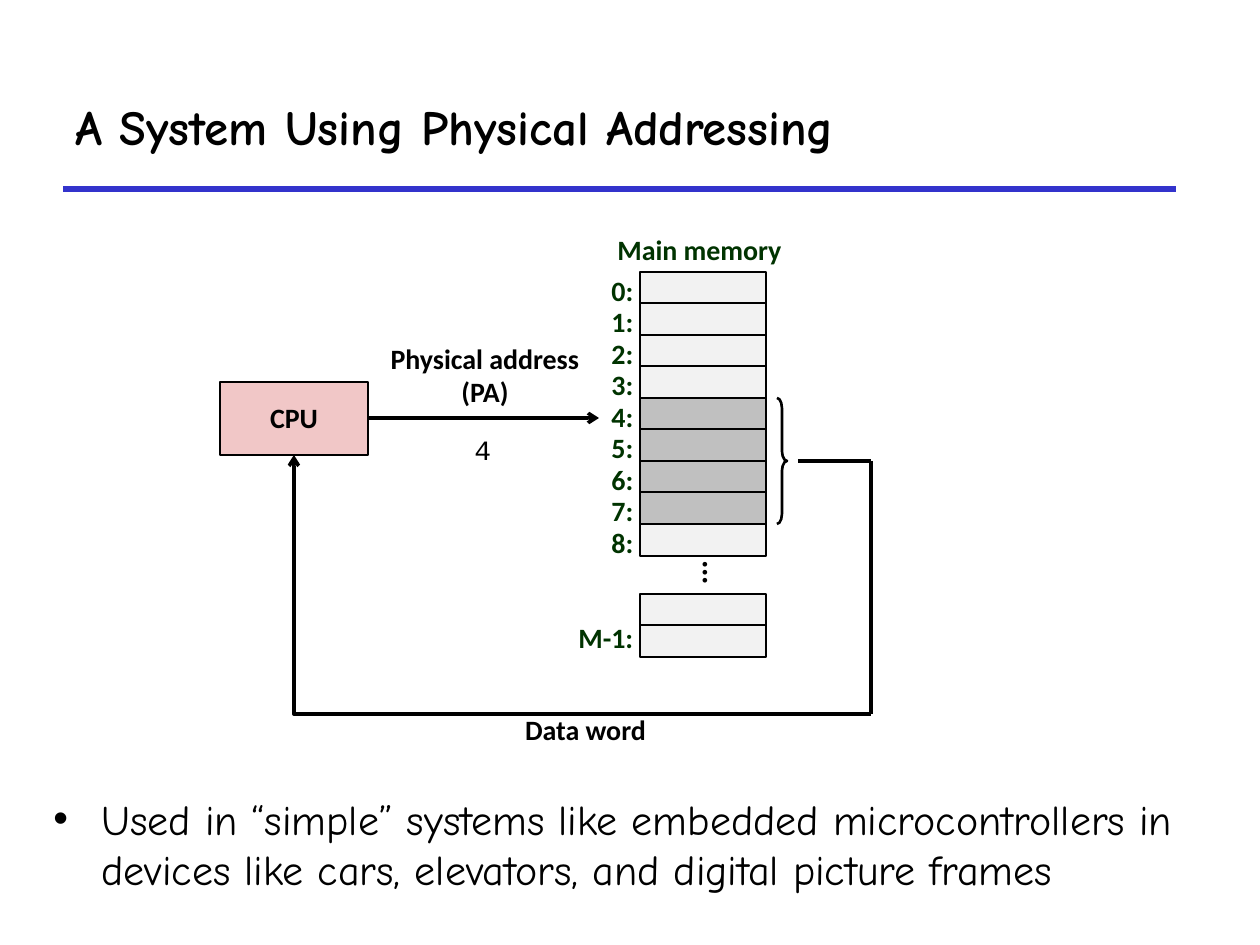
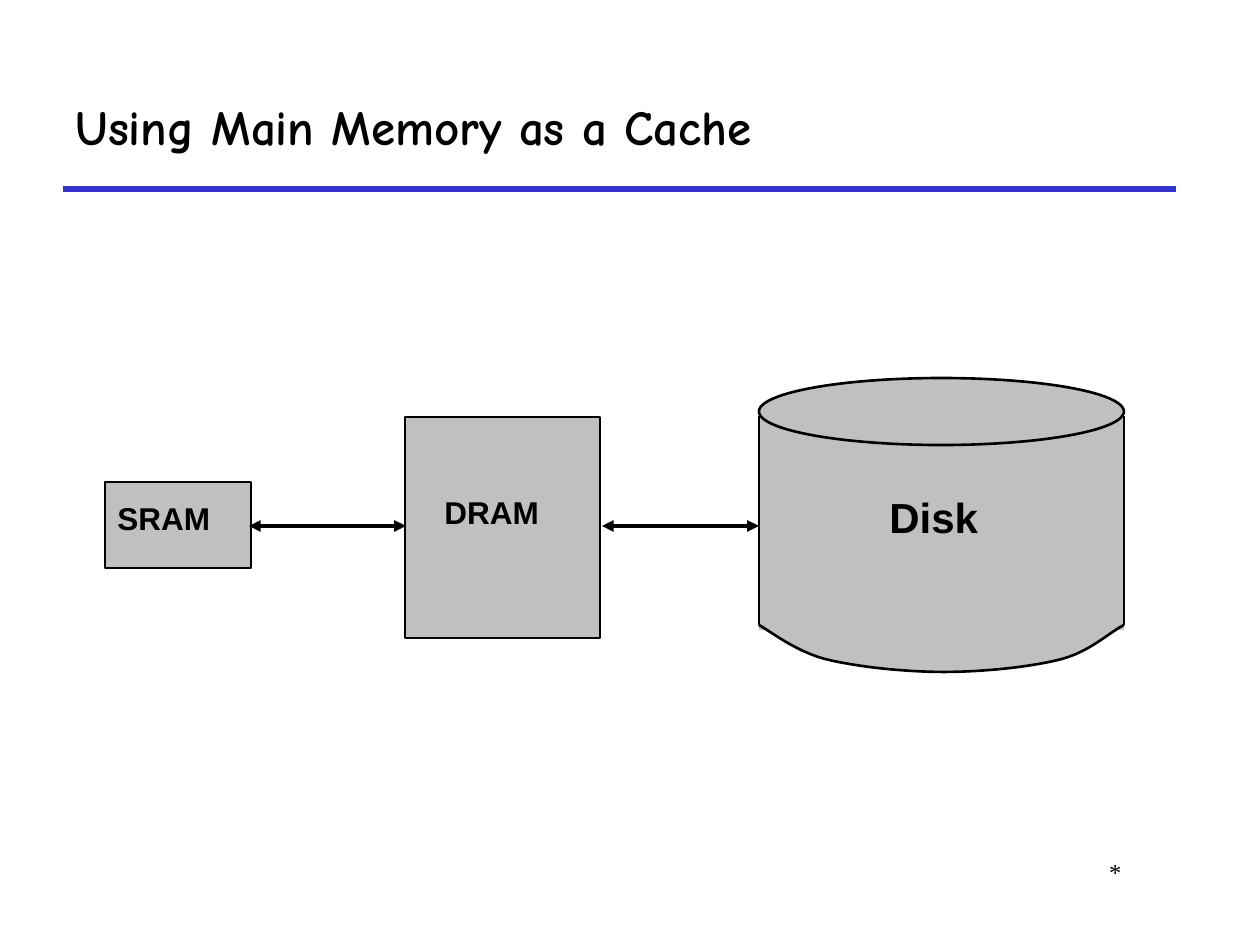
from itertools import pairwise

from lxml import etree
from pptx import Presentation
from pptx.dml.color import RGBColor
from pptx.enum.shapes import MSO_CONNECTOR, MSO_SHAPE
from pptx.enum.text import MSO_ANCHOR, MSO_AUTO_SIZE, PP_ALIGN
from pptx.oxml.ns import qn
from pptx.util import Pt

PX = 914400 / 126
RECT, OVAL, BRACE = MSO_SHAPE.RECTANGLE, MSO_SHAPE.OVAL, MSO_SHAPE.RIGHT_BRACE
STRAIGHT, ELBOW = MSO_CONNECTOR.STRAIGHT, MSO_CONNECTOR.ELBOW
LEFT, CENTER, RIGHT = PP_ALIGN.LEFT, PP_ALIGN.CENTER, PP_ALIGN.RIGHT
TOP, MIDDLE = MSO_ANCHOR.TOP, MSO_ANCHOR.MIDDLE
GROW, FIXED = MSO_AUTO_SIZE.SHAPE_TO_FIT_TEXT, MSO_AUTO_SIZE.NONE

BLACK, WHITE, BLUE, GREEN = "000000", "FFFFFF", "3333CC", "003300"
PINK, PALE, GRAY = "F1C7C7", "F2F2F2", "C0C0C0"
TITLE_FONT, LABEL_FONT, BLOCK_FONT = "Comic Neue", "Calibri", "Arial"

ADDRESSING_TITLE = "A System Using Physical Addressing"
ADDRESSING_NOTE = (
    "Used in “simple” systems like embedded microcontrollers in devices "
    "like cars, elevators, and digital picture frames"
)
CACHE_TITLE = "Using Main Memory as a Cache"

CELL_LEFT, CELL_TOP, CELL_WIDTH, CELL_HEIGHT = 640, 272, 126, 32
CELL_COUNT = 9
WORD_CELLS = range(4, 8)
LAST_CELL_TOPS = (594, 625)
DATA_PATH = [(798, 461), (871, 461), (871, 714)]
CPU_ENTRY = (294, 455)

MEMORY_BLOCKS = [
    ("SRAM", (105, 482, 146, 86), (105, 497, 130, 47)),
    ("DRAM", (405, 417, 195, 221), (432, 491, 147, 47)),
]
TRANSFERS = [(249, 406), (602, 759)]
TRANSFER_Y = 526
DISK_LEFT, DISK_RIGHT, DISK_BOTTOM = 759, 1124, 625
DISK_CURVES = [
    [(759, 625), (770, 631), (795, 651), (825, 659)],
    [(825, 659), (857, 667), (905, 672), (944, 672)],
    [(944, 672), (983, 672), (1032, 667), (1062, 659)],
    [(1062, 659), (1091, 651), (1110, 632), (1124, 625)],
]


def emu(pixels):
    return round(pixels * PX)


def color(value):
    return RGBColor.from_string(value)


def style(shape, fill=None, line=None, weight=1.5):
    shape.shadow.inherit = False
    if fill:
        shape.fill.solid()
        shape.fill.fore_color.rgb = color(fill)
    else:
        shape.fill.background()
    if line:
        shape.line.color.rgb = color(line)
        shape.line.width = Pt(weight)
    else:
        shape.line.fill.background()
    return shape


def add_block(page, kind, area, fill=None, line=BLACK, weight=1.5):
    shape = page.shapes.add_shape(kind, *map(emu, area))
    return style(shape, fill, line, weight)


def write(box, text, font=LABEL_FONT, size=16, bold=True, ink=BLACK,
          align=LEFT, anchor=TOP, wrap=False, grow=False, spacing=None, before=0):
    frame = box.text_frame
    frame.word_wrap = wrap
    frame.auto_size = GROW if grow else FIXED
    frame.vertical_anchor = anchor
    for index, content in enumerate(text.split("\n")):
        para = frame.add_paragraph() if index else frame.paragraphs[0]
        para.alignment = align
        para.space_before = Pt(before)
        para.line_spacing = spacing
        span = para.add_run()
        span.text = content
        span.font.name = font
        span.font.size = Pt(size)
        span.font.bold = bold
        span.font.color.rgb = color(ink)
    return box


def add_text(page, text, area, **options):
    box = page.shapes.add_textbox(*map(emu, area))
    return write(box, text, **options)


def add_line(page, start, end, kind=STRAIGHT, weight=2, ink=BLACK, head=None, tail=None):
    line = page.shapes.add_connector(kind, *map(emu, (*start, *end)))
    line.line.color.rgb = color(ink)
    line.line.width = Pt(weight)
    outline = line.line._get_or_add_ln()
    for tag, arrow in (("a:headEnd", head), ("a:tailEnd", tail)):
        if arrow:
            etree.SubElement(outline, qn(tag), type=arrow)
    etree.SubElement(line._element.spPr, qn("a:effectLst"))
    return line


def turn_at_end(elbow):
    guides = elbow._element.spPr.prstGeom.get_or_add_avLst()
    etree.SubElement(guides, qn("a:gd"), name="adj1", fmla="val 100000")


def add_bullet(box, indent):
    properties = box.text_frame.paragraphs[0]._p.get_or_add_pPr()
    properties.set("marL", str(emu(indent)))
    properties.set("indent", str(-emu(indent)))
    etree.SubElement(properties, qn("a:buFont"), typeface=BLOCK_FONT)
    etree.SubElement(properties, qn("a:buChar"), char="•")


def curve_points(curve, steps=12):
    for step in range(1, steps + 1):
        t = step / steps
        weights = ((1 - t) ** 3, 3 * t * (1 - t) ** 2, 3 * t * t * (1 - t), t ** 3)
        yield tuple(sum(w * point[axis] for w, point in zip(weights, curve)) for axis in (0, 1))


def new_page(deck, title):
    page = deck.slides.add_slide(deck.slide_layouts[6])
    add_line(page, (63, 189), (1176, 189), weight=3, ink=BLUE)
    add_text(page, title, (63, 63, 1113, 126), font=TITLE_FONT, size=28,
             anchor=MIDDLE, wrap=True)
    return page


def add_memory(page):
    label = dict(ink=GREEN, spacing=0.88, before=6, grow=True)
    add_text(page, "Main memory", (605, 231, 189, 42), align=CENTER, **label)
    for number in range(CELL_COUNT):
        top = CELL_TOP + number * 63 // 2
        fill = GRAY if number in WORD_CELLS else PALE
        add_block(page, RECT, (CELL_LEFT, top, CELL_WIDTH, CELL_HEIGHT), fill)
        add_text(page, f"{number}:", (599, top, 47, 42), **label)
    for top in LAST_CELL_TOPS:
        add_block(page, RECT, (CELL_LEFT, top, CELL_WIDTH, CELL_HEIGHT), PALE)
    add_text(page, "M-1:", (566, 619, 90, 42), wrap=True, **label)

    dots = add_text(page, "...", (651, 547, 126, 32), size=18, align=CENTER,
                    anchor=MIDDLE, spacing=0.98)
    frame = dots.text_frame
    frame.margin_left = frame.margin_right = emu(6)
    frame.margin_top = frame.margin_bottom = emu(13)
    frame._txBody.bodyPr.set("vert", "eaVert")

    brace = add_block(page, BRACE, (777, 398, 10, 126))
    brace.adjustments[0] = 1


def build_addressing(deck):
    page = new_page(deck, ADDRESSING_TITLE)
    note = add_block(page, RECT, (41, 787, 1197, 121), WHITE, line=None)
    write(note, ADDRESSING_NOTE, font=TITLE_FONT, size=24, bold=False, wrap=True, before=6)
    add_bullet(note, 48)
    add_memory(page)

    caption = dict(align=CENTER, anchor=MIDDLE, spacing=0.98)
    cpu = add_block(page, RECT, (220, 382, 148, 73), PINK, weight=1)
    write(cpu, "CPU", **caption)
    add_text(page, "Physical address\n(PA)", (378, 337, 214, 78), grow=True, **caption)
    add_text(page, "Data word", (512, 708, 147, 45), grow=True, **caption)
    add_text(page, "4", (462, 426, 42, 47), font="Courier New", bold=False,
             wrap=True, grow=True)
    add_line(page, (368, 418), (599, 418), tail="arrow")
    for start, end in pairwise(DATA_PATH):
        add_line(page, start, end)
    turn_at_end(add_line(page, DATA_PATH[-1], CPU_ENTRY, kind=ELBOW, tail="arrow"))


def add_disk(page):
    width = DISK_RIGHT - DISK_LEFT
    add_block(page, RECT, (DISK_LEFT, 415, width, 215), GRAY, line=None)
    add_block(page, OVAL, (DISK_LEFT, 378, width, 67), GRAY)
    for side in (DISK_LEFT, DISK_RIGHT):
        add_line(page, (side, 416), (side, DISK_BOTTOM), weight=1.5)
    builder = page.shapes.build_freeform(*map(emu, DISK_CURVES[0][0]))
    points = [tuple(map(emu, point)) for curve in DISK_CURVES for point in curve_points(curve)]
    builder.add_line_segments(points, close=False)
    style(builder.convert_to_shape(), GRAY, BLACK)


def build_cache(deck):
    page = new_page(deck, CACHE_TITLE)
    add_text(page, "*", (955, 851, 179, 63), font="Times New Roman", size=14,
             bold=False, align=RIGHT, wrap=True)
    label = dict(font=BLOCK_FONT, spacing=0.9, wrap=True, grow=True)
    for name, area, label_area in MEMORY_BLOCKS:
        add_block(page, RECT, area, GRAY)
        add_text(page, name, label_area, size=18, before=6.8, **label)
    add_disk(page)
    add_text(page, "Disk", (877, 491, 125, 58), size=24, before=9, **label)
    for left, right in TRANSFERS:
        add_line(page, (left, TRANSFER_Y), (right, TRANSFER_Y), weight=2.25,
                 head="triangle", tail="triangle")


def main():
    deck = Presentation()
    deck.slide_width, deck.slide_height = emu(1260), emu(945)
    build_addressing(deck)
    build_cache(deck)
    deck.save("out.pptx")


if __name__ == "__main__":
    main()
